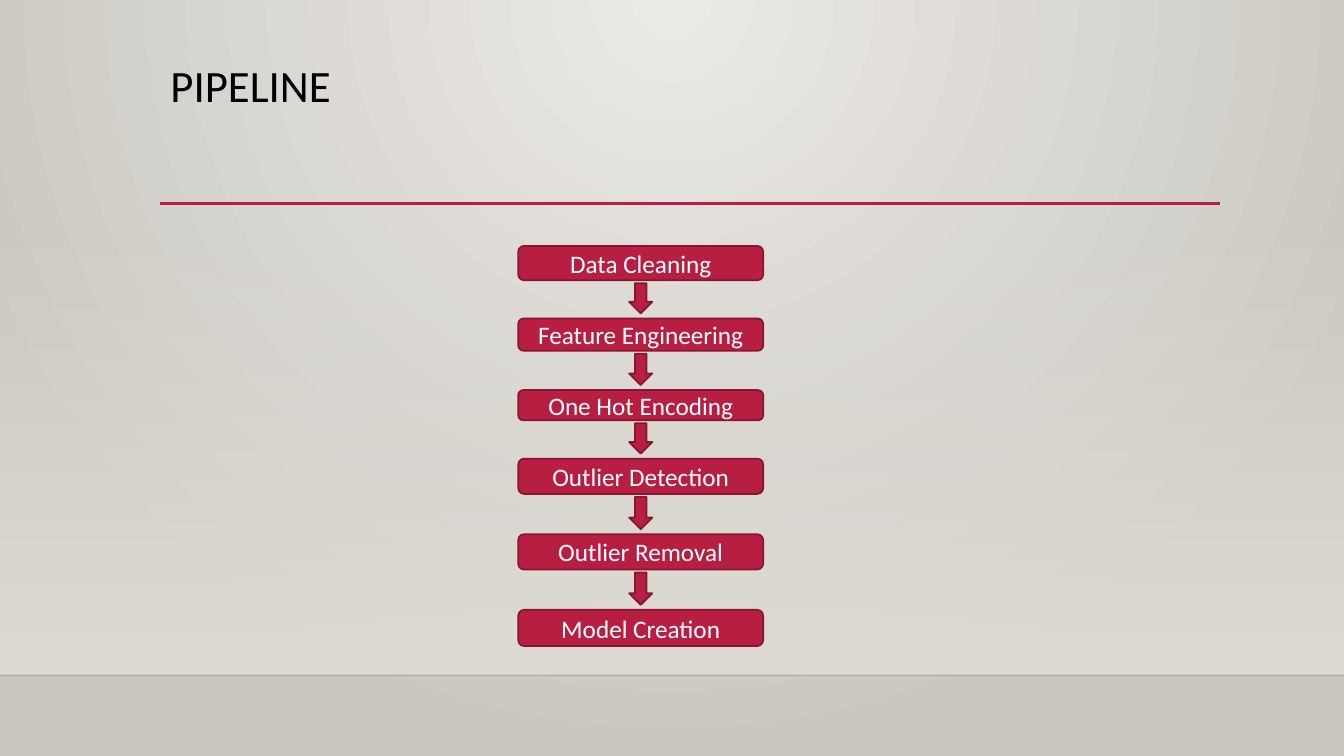
from pptx import Presentation
from pptx.dml.color import RGBColor
from pptx.enum.shapes import MSO_CONNECTOR, MSO_SHAPE
from pptx.enum.text import MSO_ANCHOR, MSO_AUTO_SIZE, PP_ALIGN
from pptx.oxml.ns import qn
from pptx.util import Inches, Pt
from lxml import etree

RECTANGLE = MSO_SHAPE.RECTANGLE
ROUNDED = MSO_SHAPE.ROUNDED_RECTANGLE
DOWN_ARROW = MSO_SHAPE.DOWN_ARROW
STRAIGHT = MSO_CONNECTOR.STRAIGHT
TOP, MIDDLE = MSO_ANCHOR.TOP, MSO_ANCHOR.MIDDLE
LEFT, CENTER = PP_ALIGN.LEFT, PP_ALIGN.CENTER
NO_AUTOFIT = MSO_AUTO_SIZE.NONE

CRIMSON = RGBColor(0xB7, 0x1E, 0x42)
DARK_CRIMSON = RGBColor(0x87, 0x16, 0x31)
BLACK = RGBColor(0x00, 0x00, 0x00)
WHITE = RGBColor(0xFF, 0xFF, 0xFF)
PALE_STONE = RGBColor(0xEC, 0xEA, 0xE7)
STONE = RGBColor(0xCA, 0xC7, 0xC1)
SAND = RGBColor(0xDF, 0xDB, 0xD5)
HORIZON = RGBColor(0x00, 0x00, 0x01)

SLIDE_WIDTH, SLIDE_HEIGHT = 13.33, 7.5
FLOOR_TOP = 6.7
STEP_LEFT, STEP_WIDTH = 5.14, 2.43
ARROW_WIDTH, ARROW_OFFSET, ARROW_CLEARANCE = 0.23, 0.03, 0.08
STEPS = [
    ("Data Cleaning", 2.44, 0.34),
    ("Feature Engineering", 3.16, 0.32),
    ("One Hot Encoding", 3.87, 0.30),
    ("Outlier Detection", 4.55, 0.35),
    ("Outlier Removal", 5.30, 0.35),
    ("Model Creation", 6.05, 0.36),
]


class SlideBuilder:
    font = "Calibri"

    def __init__(self, page):
        self.page = page

    def set_opacity(self, color_element, percent):
        alpha = etree.SubElement(color_element, qn("a:alpha"))
        alpha.set("val", str(percent * 1000))

    def set_gradient(self, fill, start, end):
        fill.gradient()
        for stop, color in zip(fill.gradient_stops, (start, end)):
            stop.color.rgb = color

    def background(self, center, edge):
        self.set_gradient(self.page.background.fill, center, edge)
        gradient = next(self.page.element.iter(qn("a:gradFill")))
        gradient.remove(gradient.find(qn("a:lin")))
        radial = etree.SubElement(gradient, qn("a:path"), path="circle")
        etree.SubElement(radial, qn("a:fillToRect"),
                         l="43000", t="0", r="43000", b="100000")

    def add_text(self, frame, text, size, color, align, anchor):
        frame.word_wrap = True
        frame.auto_size = NO_AUTOFIT
        frame.vertical_anchor = anchor
        para = frame.paragraphs[0]
        para.alignment = align
        span = para.add_run()
        span.text = text
        span.font.name = self.font
        span.font.size = Pt(size)
        span.font.color.rgb = color
        return para

    def title(self, text, left, top, width, height):
        box = self.page.shapes.title
        box.left, box.top = Inches(left), Inches(top)
        box.width, box.height = Inches(width), Inches(height)
        para = self.add_text(box.text_frame, text, 32, BLACK, LEFT, TOP)
        para.line_spacing = 0.9

    def shape(self, kind, left, top, width, height):
        box = self.page.shapes.add_shape(
            kind, Inches(left), Inches(top), Inches(width), Inches(height))
        box.shadow.inherit = False
        box.fill.solid()
        box.fill.fore_color.rgb = CRIMSON
        box.line.color.rgb = DARK_CRIMSON
        box.line.width = Pt(1.25)
        return box

    def step(self, text, top, height):
        box = self.shape(ROUNDED, STEP_LEFT, top, STEP_WIDTH, height)
        self.add_text(box.text_frame, text, 18, WHITE, CENTER, MIDDLE)

    def fading_band(self, top, height, color):
        band = self.shape(RECTANGLE, 0, top, SLIDE_WIDTH, height)
        band.line.fill.background()
        self.set_gradient(band.fill, color, color)
        band.fill.gradient_angle = 270
        self.set_opacity(next(band.element.iter(qn("a:srgbClr"))), 0)

    def rule(self, left, right, top, color, width, opacity=100):
        line = self.page.shapes.add_connector(
            STRAIGHT, Inches(left), Inches(top), Inches(right), Inches(top))
        line.line.color.rgb = color
        line.line.width = Pt(width)
        if opacity < 100:
            self.set_opacity(next(line.element.iter(qn("a:srgbClr"))), opacity)
        etree.SubElement(line.element.spPr, qn("a:effectLst"))


deck = Presentation()
deck.slide_width = Inches(SLIDE_WIDTH)
deck.slide_height = Inches(SLIDE_HEIGHT)
builder = SlideBuilder(deck.slides.add_slide(deck.slide_layouts[5]))

builder.background(PALE_STONE, STONE)
builder.fading_band(2.21, FLOOR_TOP - 2.21, SAND)
builder.rule(0, SLIDE_WIDTH, FLOOR_TOP, HORIZON, 1, opacity=20)
builder.rule(1.59, 12.1, 2.02, CRIMSON, 2.5)
builder.title("PIPELINE", 1.59, 0.58, 10.5, 1.15)

for name, top, height in STEPS:
    builder.step(name, top, height)

arrow_left = STEP_LEFT + (STEP_WIDTH - ARROW_WIDTH) / 2
for (_, top, height), (_, next_top, _) in zip(STEPS, STEPS[1:]):
    bottom = top + height
    builder.shape(DOWN_ARROW, arrow_left, bottom + ARROW_OFFSET,
                  ARROW_WIDTH, next_top - bottom - ARROW_CLEARANCE)

deck.save("out.pptx")
